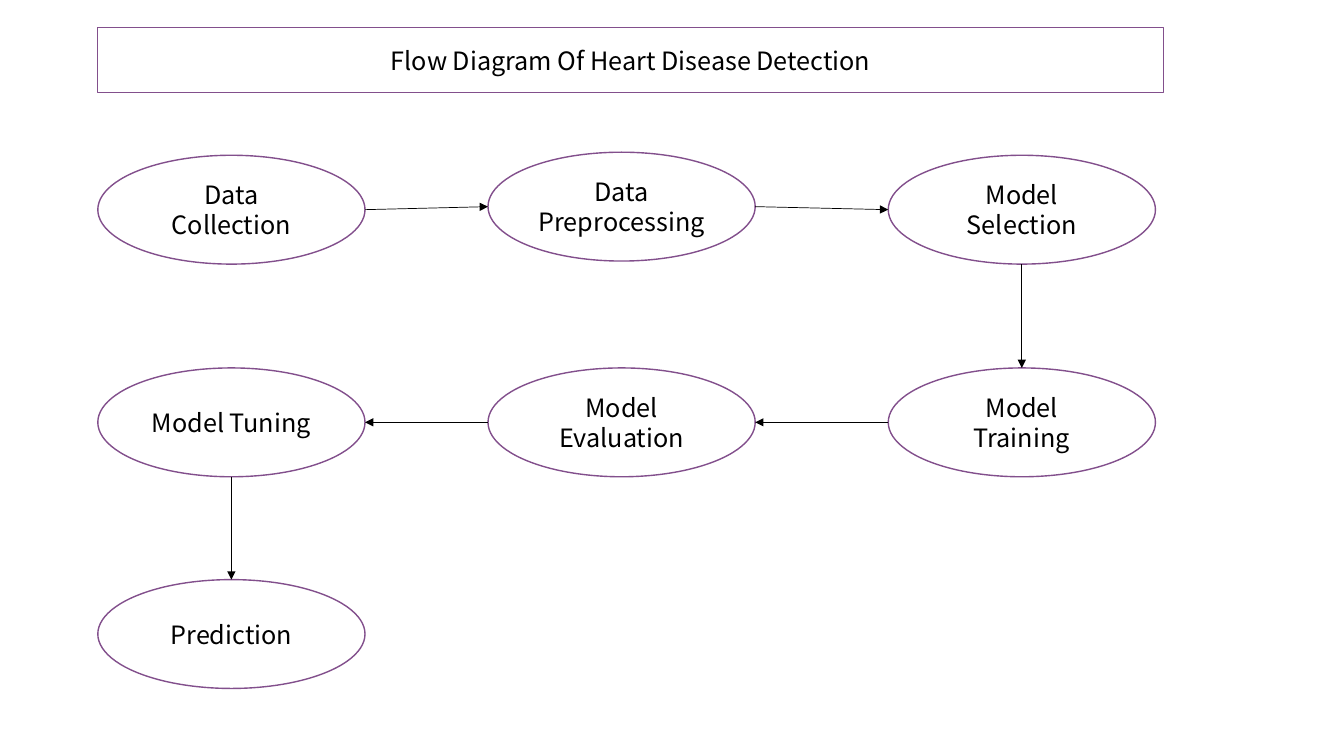
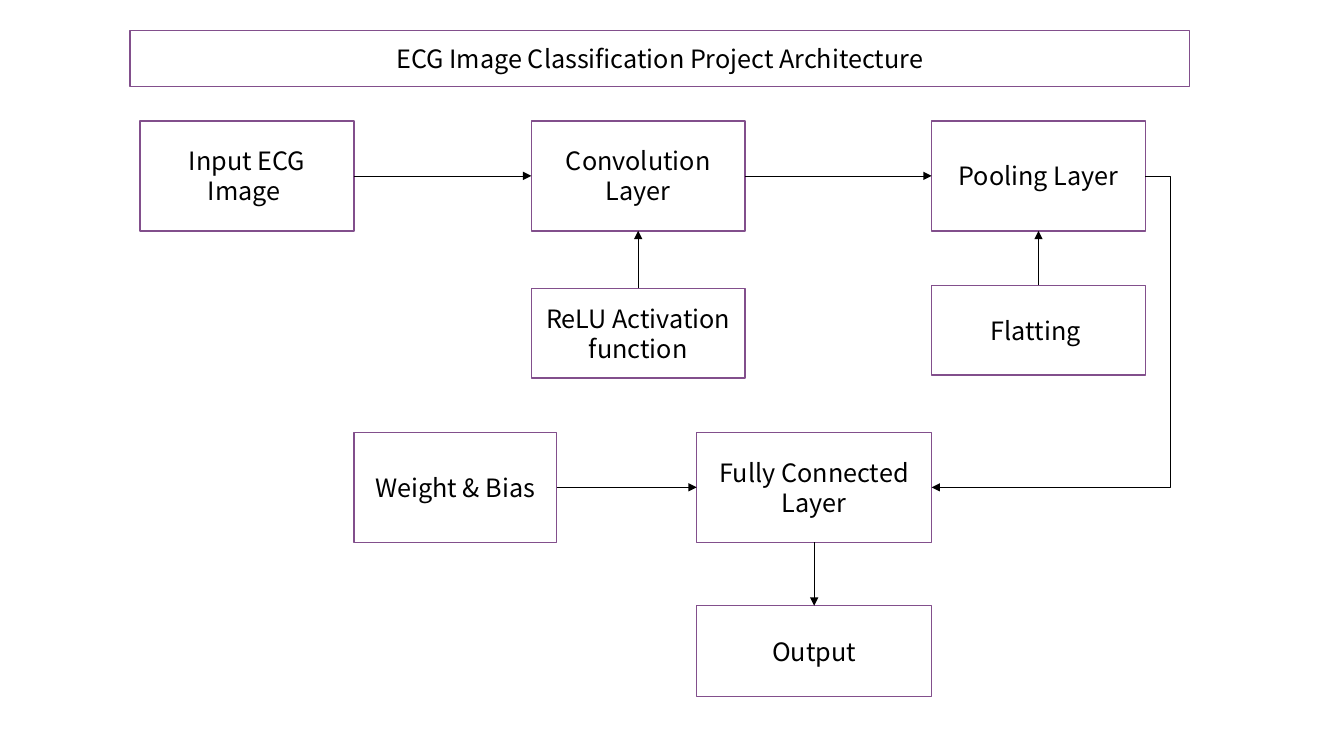
from lxml.etree import SubElement
from pptx import Presentation
from pptx.dml.color import RGBColor
from pptx.enum.shapes import MSO_CONNECTOR as LINE, MSO_SHAPE as SHAPE
from pptx.enum.text import MSO_ANCHOR, PP_ALIGN
from pptx.oxml.ns import qn
from pptx.util import Pt

PX = 9144
FONT = "Noto Sans CJK JP"
COLORS = {"paper": "FFFFFF", "outline": "824F8C", "ink": "000000"}
TOP, LEFT, BOTTOM, RIGHT = range(4)

FLOW_TITLE = ("Flow Diagram Of Heart Disease Detection", (97, 27, 1057, 65))
FLOW_COLS = (97, 484, 881)
FLOW_ROWS = (154, 365, 575)
OVAL_SIZE = (265, 108)
FLOW_STEPS = [
    ("Data Collection", 0, 0, 0),
    ("Data Preprocessing", 1, 0, -3),
    ("Model Selection", 2, 0, 0),
    ("Model Training", 2, 1, 0),
    ("Model Evaluation", 1, 1, 0),
    ("Model Tuning", 0, 1, 0),
    ("Prediction", 0, 2, 0),
]

ARCH_TITLE = ("ECG Image Classification Project Architecture", (129, 30, 1051, 56))
ARCH_BOXES = {
    "input": ("Input ECG Image ", (139, 120, 212, 109)),
    "convolution": ("Convolution Layer", (527, 120, 212, 109)),
    "pooling": ("Pooling Layer", (924, 120, 212, 109)),
    "relu": ("ReLU Activation function", (527, 286, 212, 89)),
    "flatting": ("Flatting ", (924, 283, 212, 89)),
    "weights": ("Weight & Bias", (351, 429, 201, 109)),
    "connected": ("Fully Connected Layer", (691, 429, 233, 109)),
    "output": ("Output", (691, 601, 233, 90)),
}
ARCH_ARROWS = [
    ("input", RIGHT, "convolution", LEFT),
    ("convolution", RIGHT, "pooling", LEFT),
    ("relu", TOP, "convolution", BOTTOM),
    ("flatting", TOP, "pooling", BOTTOM),
    ("weights", RIGHT, "connected", LEFT),
    ("connected", BOTTOM, "output", TOP),
]
LOOP_BEND = -0.118


def rgb(name):
    return RGBColor.from_string(COLORS[name])


def add_node(s, text, box, kind=SHAPE.RECTANGLE):
    sp = s.shapes.add_shape(kind, *(v * PX for v in box))
    sp.shadow.inherit = False
    sp.fill.solid()
    sp.fill.fore_color.rgb = rgb("paper")
    sp.line.color.rgb = rgb("outline")
    sp.line.width = Pt(1)
    tf = sp.text_frame
    tf.text = text
    tf.word_wrap = True
    tf.vertical_anchor = MSO_ANCHOR.MIDDLE
    p = tf.paragraphs[0]
    p.alignment = PP_ALIGN.CENTER
    p.line_spacing = Pt(21.5)
    r = p.runs[0]
    r.font.name = FONT
    r.font.size = Pt(18)
    r.font.color.rgb = rgb("ink")
    return sp


def add_arrow(s, start, start_side, end, end_side, kind=LINE.STRAIGHT):
    c = s.shapes.add_connector(kind, 0, 0, 0, 0)
    c.begin_connect(start, start_side)
    c.end_connect(end, end_side)
    c.line.color.rgb = rgb("ink")
    c.line.width = Pt(0.5)
    SubElement(c.line._get_or_add_ln(), qn("a:tailEnd"), type="triangle")
    SubElement(c._element.spPr, qn("a:effectLst"))
    return c


def use_oval_sites(c):
    ends = c._element.nvCxnSpPr.cNvCxnSpPr
    for site in (ends.stCxn, ends.endCxn):
        site.idx *= 2


def step_sides(a, b):
    if a[1] == b[1]:
        return BOTTOM, TOP
    return (RIGHT, LEFT) if a[1] < b[1] else (LEFT, RIGHT)


def build_flow(s):
    add_node(s, *FLOW_TITLE)
    ovals = [
        add_node(s, text, (FLOW_COLS[col], FLOW_ROWS[row] + dy, *OVAL_SIZE), SHAPE.OVAL)
        for text, col, row, dy in FLOW_STEPS
    ]
    for i in range(len(ovals) - 1):
        leave, enter = step_sides(FLOW_STEPS[i], FLOW_STEPS[i + 1])
        use_oval_sites(add_arrow(s, ovals[i], leave, ovals[i + 1], enter))


def build_architecture(s):
    add_node(s, *ARCH_TITLE)
    boxes = {key: add_node(s, *item) for key, item in ARCH_BOXES.items()}
    for start, leave, end, enter in ARCH_ARROWS:
        add_arrow(s, boxes[start], leave, boxes[end], enter)
    loop = add_arrow(s, boxes["pooling"], RIGHT, boxes["connected"], RIGHT, LINE.ELBOW)
    guides = loop._element.spPr.prstGeom.get_or_add_avLst()
    SubElement(guides, qn("a:gd"), name="adj1", fmla=f"val {round(LOOP_BEND * 100000)}")


def main():
    prs = Presentation()
    prs.slide_width, prs.slide_height = 1333 * PX, 750 * PX
    for build in (build_flow, build_architecture):
        build(prs.slides.add_slide(prs.slide_layouts[6]))
    prs.save("out.pptx")


if __name__ == "__main__":
    main()
